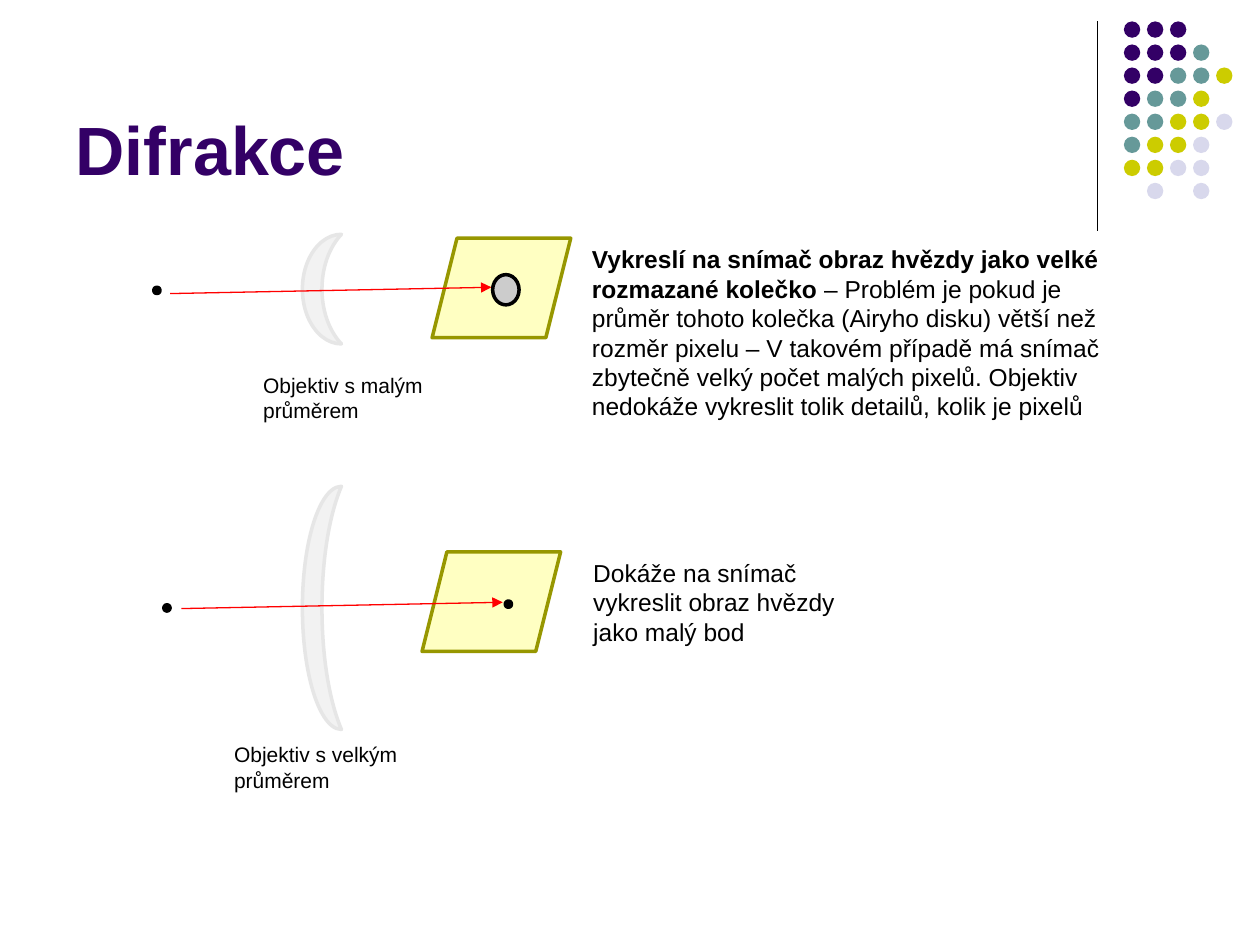
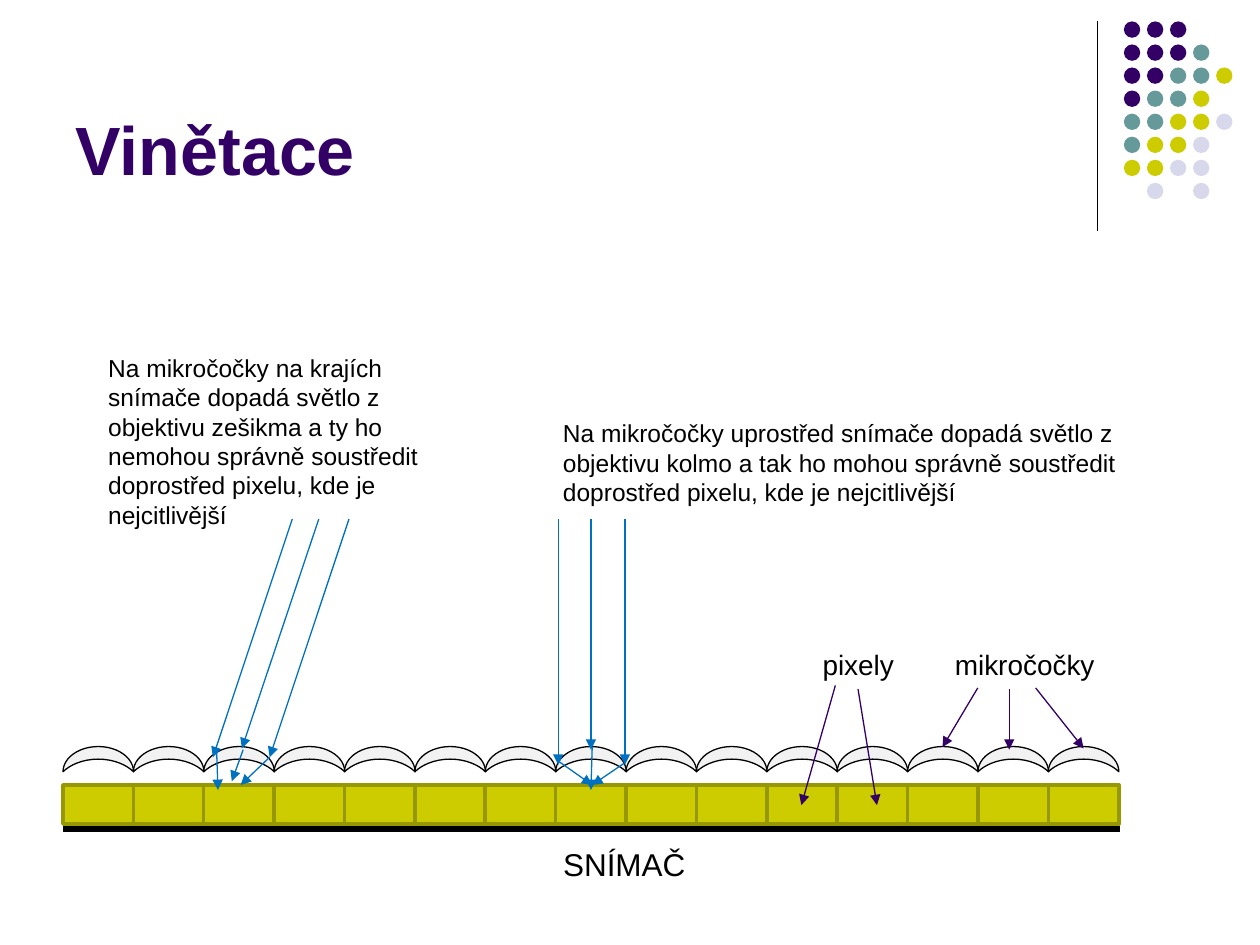
import pptx
import pptx.dml.color
import pptx.enum.dml
import pptx.enum.shapes
import pptx.enum.text
import pptx.oxml
import pptx.oxml.ns
import pptx.util
from lxml import etree

SHAPE = pptx.enum.shapes.MSO_SHAPE
COLS, ROWS = 100, 75
FONT = "Arial"
BLACK, WHITE, RED, BLUE = "000000", "FFFFFF", "FF0000", "0070C0"
PURPLE, TEAL, YELLOW, LILAC = "330066", "669999", "CCCC00", "D8D8EC"
OLIVE, CREAM, GLASS, GLASS_EDGE, GREY = "979700", "FFFFC2", "F2F2F2", "E6E6E6", "CCCCCC"

DOT_COLOURS = {"P": PURPLE, "T": TEAL, "Y": YELLOW, "L": LILAC}
DOT_ROWS = ["PPP", "PPPT", "PPTTY", "PTTY", "TTYYL", "TYYL", "YYLL", ".L.L"]
DOT_PITCH = 1.83


def rgb(colour):
    return pptx.dml.color.RGBColor.from_string(colour)


class Deck:
    """Shared style and the current slide; lengths are grid columns and rows."""

    def __init__(self):
        self.prs = pptx.Presentation()
        self.prs.slide_width = pptx.util.Inches(10)
        self.prs.slide_height = pptx.util.Inches(7.5)
        self.s = None

    def grid(self, *lengths):
        """Turn alternating column and row counts into slide lengths."""
        units = self.prs.slide_width / COLS, self.prs.slide_height / ROWS
        return [round(n * units[i % 2]) for i, n in enumerate(lengths)]

    def slide(self, title):
        self.s = self.prs.slides.add_slide(self.prs.slide_layouts[5])
        self.line(87.1, 1.7, 87.1, 18.3)
        for row, dots in enumerate(DOT_ROWS):
            for col, dot in enumerate(dots):
                if dot in DOT_COLOURS:
                    self.shape(SHAPE.OVAL, 89.2 + col * DOT_PITCH, 1.7 + row * DOT_PITCH,
                               1.3, 1.3, DOT_COLOURS[dot])
        sp = self.s.shapes.title
        sp.left, sp.top, sp.width, sp.height = self.grid(5, 1.3, 82.5, 14.2)
        tf = sp.text_frame
        tf.text = title
        tf.auto_size = pptx.enum.text.MSO_AUTO_SIZE.NONE
        tf.vertical_anchor = pptx.enum.text.MSO_ANCHOR.BOTTOM
        p = tf.paragraphs[0]
        p.alignment = pptx.enum.text.PP_ALIGN.LEFT
        self.font(p, 39, PURPLE, True)

    def font(self, p, size, colour=BLACK, bold=None):
        p.font.name = FONT
        p.font.size = pptx.util.Pt(size)
        p.font.color.rgb = rgb(colour)
        p.font.bold = bold

    def outline(self, line, colour, width):
        line.color.rgb = rgb(colour)
        line.width = pptx.util.Pt(width)

    def shape(self, kind, x, y, w, h, fill, edge=None, width=2, rotation=0):
        sp = self.s.shapes.add_shape(kind, *self.grid(x, y, w, h))
        sp.shadow.inherit = False
        sp.rotation = rotation
        sp.fill.solid()
        sp.fill.fore_color.rgb = rgb(fill)
        if edge:
            self.outline(sp.line, edge, width)
        else:
            sp.line.fill.background()

    def line(self, x1, y1, x2, y2, colour=BLACK, width=0.75, arrow=False):
        cx = self.s.shapes.add_connector(
            pptx.enum.shapes.MSO_CONNECTOR.STRAIGHT, *self.grid(x1, y1, x2, y2))
        self.outline(cx.line, colour, width)
        if arrow:
            etree.SubElement(cx.line._get_or_add_ln(), pptx.oxml.ns.qn("a:tailEnd"),
                             type="triangle")
        etree.SubElement(cx._element.spPr, pptx.oxml.ns.qn("a:effectLst"))

    def arrows(self, colour, *ends):
        for end in ends:
            self.line(*end, colour, arrow=True)

    def text(self, x, y, w, h, text, size=14, lead="", edge=None):
        """Add a wrapped text box; lead is a bold opening."""
        sp = self.s.shapes.add_textbox(*self.grid(x, y, w, h))
        if edge:
            self.outline(sp.line, edge, 0.75)
        tf = sp.text_frame
        tf.word_wrap = True
        p = tf.paragraphs[0]
        if lead:
            r = p.add_run()
            r.text = lead
            r.font.bold = True
        p.add_run().text = text
        self.font(p, size)


def diffraction(deck):
    deck.slide("Difrakce")
    for top, height in ((18.6, 8.7), (38.6, 19.3)):
        deck.shape(SHAPE.MOON, 24, top, 3.1, height, GLASS, GLASS_EDGE)
    for star_x, star_y, sensor_x, sensor_y in ((12.2, 22.8, 34.3, 18.9), (13, 48, 33.5, 43.8)):
        deck.shape(SHAPE.OVAL, star_x, star_y, 0.5, 0.5, BLACK, BLACK)
        deck.shape(SHAPE.PARALLELOGRAM, sensor_x, sensor_y, 11, 7.9, CREAM, OLIVE)
    deck.arrows(RED, (13.5, 23.3, 39, 22.8), (14.4, 48.3, 39.9, 47.8))
    deck.shape(SHAPE.OVAL, 39.1, 21.8, 2.1, 2.4, GREY, BLACK)
    deck.shape(SHAPE.OVAL, 40.1, 47.7, 0.5, 0.5, BLACK, BLACK)
    deck.text(17.6, 58.4, 21.4, 5, "Objektiv s velkým průměrem", 12)
    deck.text(19.9, 29.1, 21.4, 5, "Objektiv s malým průměrem", 12)
    deck.text(46.1, 43.8, 22.6, 8.1, "Dokáže na snímač vykreslit obraz hvězdy jako malý bod")
    deck.text(46, 18.9, 43.4, 15.1,
              "– Problém je pokud je průměr tohoto kolečka (Airyho disku) větší než rozměr "
              "pixelu – V takovém případě má snímač zbytečně velký počet malých pixelů. "
              "Objektiv nedokáže vykreslit tolik detailů, kolik je pixelů",
              lead="Vykreslí na snímač obraz hvězdy jako velké rozmazané kolečko ")


def vignetting(deck):
    deck.slide("Vinětace")
    deck.line(5, 65.8, 88.9, 65.8, width=3.25)
    deck.text(43.7, 66.6, 14.2, 4, "SNÍMAČ", 18)

    pixel_count, pixel_w, lens_h = 15, 5.6, 2
    pitch = 78.2 / (pixel_count - 1)
    for i in range(pixel_count):
        x = 5 + i * pitch
        deck.shape(SHAPE.RECTANGLE, x, 62.3, pixel_w, 3.1, YELLOW, OLIVE)
        deck.shape(SHAPE.MOON, x + (pixel_w - lens_h) / 2, 57.45, lens_h, pixel_w,
                   GLASS, BLACK, 0.75, rotation=90)

    deck.text(74.8, 50.9, 14.8, 3.7, "mikročočky", 16, edge=WHITE)
    deck.text(64.3, 50.9, 8.6, 3.7, "pixely", 16, edge=WHITE)
    deck.arrows(PURPLE,
                (77.6, 54.6, 74.8, 59.3), (80.1, 54.7, 80.1, 59.5), (82.2, 54.6, 86, 59.4),
                (66.3, 54.4, 63.6, 63.9), (68.1, 54.7, 69.6, 63.9))

    rays_top = 41.2
    straight_rays = [(x, rays_top, x, y) for x, y in ((44.3, 60.7), (49.6, 60.7), (46.9, 59.5))]
    focused_rays = [(44.3, 60.4, 47, 62.3), (47, 59.3, 46.9, 62.7), (49.5, 60.6, 47, 62.3)]
    slanted_rays = [(23.2, rays_top, 16.9, 60.1), (27.7, rays_top, 21.4, 60.1),
                    (25.3, rays_top, 19.2, 59.4)]
    missed_rays = [(19.3, 59.5, 18.4, 62), (21.4, 60.1, 19.1, 62.3), (17.2, 59.7, 17.3, 62.7)]
    deck.arrows(BLUE, *straight_rays, *focused_rays, *slanted_rays, *missed_rays)

    deck.text(43.7, 32.7, 46.7, 8.1,
              "Na mikročočky uprostřed snímače dopadá světlo z objektivu kolmo a tak ho mohou "
              "správně soustředit doprostřed pixelu, kde je nejcitlivější")
    deck.text(7.6, 27.5, 29.2, 15.1,
              "Na mikročočky na krajích snímače dopadá světlo z objektivu zešikma a ty ho "
              "nemohou správně soustředit doprostřed pixelu, kde je nejcitlivější")


def main():
    deck = Deck()
    diffraction(deck)
    vignetting(deck)
    deck.prs.save("out.pptx")


if __name__ == "__main__":
    main()
